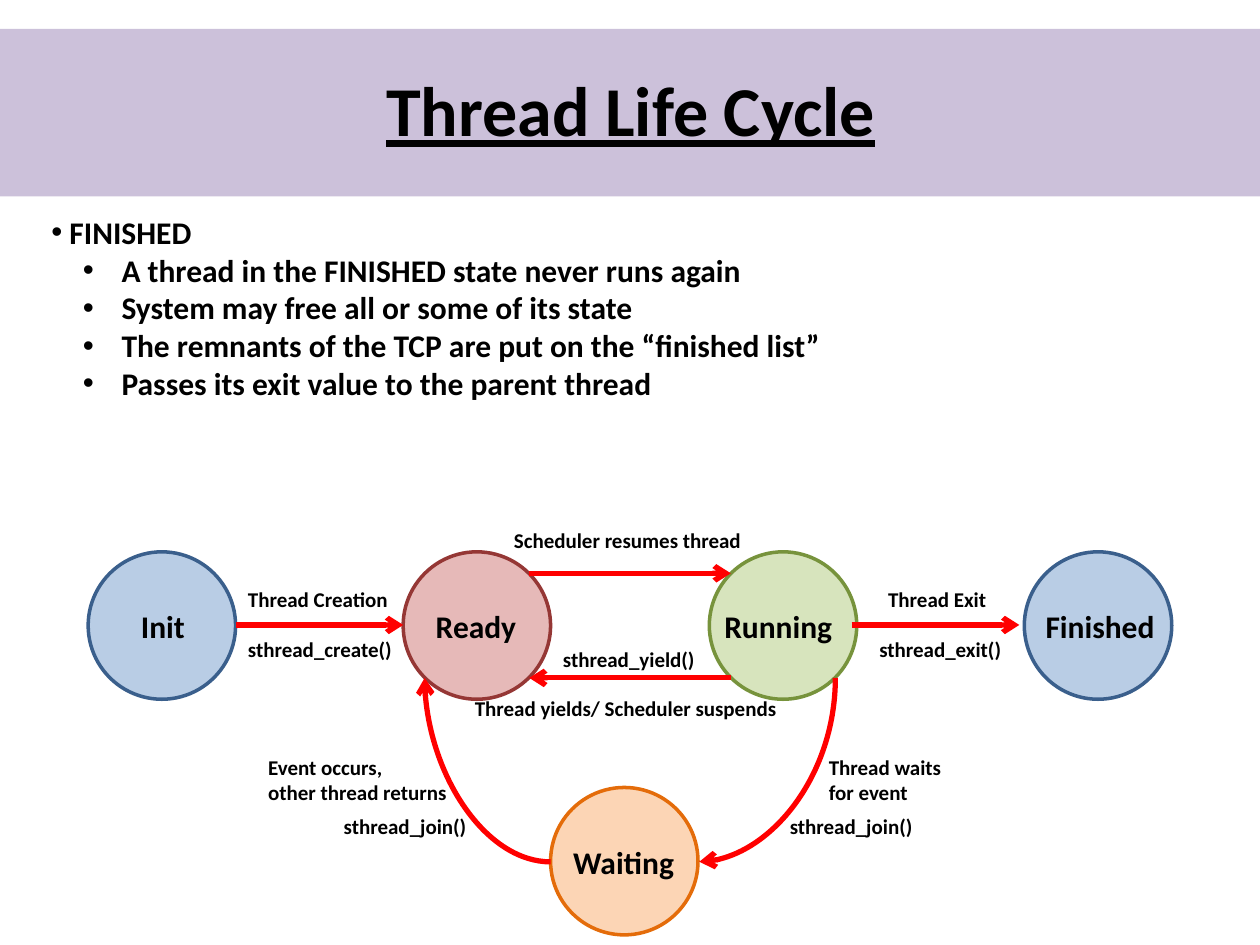
from lxml.etree import SubElement
from pptx import Presentation
from pptx.dml.color import RGBColor
from pptx.enum.shapes import MSO_CONNECTOR, MSO_SHAPE
from pptx.enum.text import MSO_ANCHOR, PP_ALIGN
from pptx.oxml.ns import qn
from pptx.util import Inches, Pt

FONT = "Calibri"
BLACK = RGBColor(0x00, 0x00, 0x00)
RED = RGBColor(0xFF, 0x00, 0x00)
LILAC = RGBColor(0xCC, 0xC1, 0xDA)
BLUE, BLUE_LINE = RGBColor(0xB9, 0xCD, 0xE5), RGBColor(0x3A, 0x5F, 0x8C)
ROSE, ROSE_LINE = RGBColor(0xE6, 0xB9, 0xB8), RGBColor(0x95, 0x37, 0x35)
GREEN, GREEN_LINE = RGBColor(0xD7, 0xE4, 0xBD), RGBColor(0x77, 0x93, 0x3C)
ORANGE, ORANGE_LINE = RGBColor(0xFC, 0xD5, 0xB5), RGBColor(0xE4, 0x6C, 0x0A)

TITLE = "Thread Life Cycle"
BULLETS = [  # level, text
    (0, " FINISHED"),
    (1, " A thread in the FINISHED state never runs again"),
    (1, " System may free all or some of its state"),
    (1, " The remnants of the TCP are put on the “finished list”"),
    (1, " Passes its exit value to the parent thread"),
]

DIAMETER = 1.17
ROW_TOP, WAIT_TOP = 4.38, 6.25
STATES = [  # name, circle left, circle top, fill, outline, label left, label width
    ("Init", 0.7, ROW_TOP, BLUE, BLUE_LINE, 1.02, 0.55),
    ("Ready", 3.2, ROW_TOP, ROSE, ROSE_LINE, 3.36, 0.85),
    ("Running", 5.63, ROW_TOP, GREEN, GREEN_LINE, 5.65, 1.06),
    ("Waiting", 4.37, WAIT_TOP, ORANGE, ORANGE_LINE, 4.45, 1.01),
    ("Finished", 8.13, ROW_TOP, BLUE, BLUE_LINE, 8.2, 1.07),
]

ROW_MIDDLE = 4.96
STRAIGHT_ARROWS = [  # from, to
    ((1.87, ROW_MIDDLE), (3.2, ROW_MIDDLE)),
    ((4.2, 4.55), (5.8, 4.55)),
    ((5.8, 5.38), (4.2, 5.38)),
    ((6.76, ROW_MIDDLE), (8.09, ROW_MIDDLE)),
]
CURVED_ARROWS = [  # from, to, clockwise turn in degrees
    ((6.63, 5.38), (5.55, 6.84), 90),
    ((4.37, 6.84), (3.37, 5.38), 180),
]

ABOVE, BELOW, EVENT, JOIN = 4.61, 5, 5.94, 6.41
TRANSITIONS = [  # lines, left, top, width
    (["Scheduler resumes thread"], 3.98, 4.14, 2.02),
    (["Thread Creation"], 1.87, ABOVE, 1.33),
    (["sthread_create()"], 1.87, BELOW, 1.37),
    (["sthread_yield()"], 4.37, 5.08, 1.27),
    (["Thread yields/ Scheduler suspends"], 3.67, 5.47, 2.66),
    (["Thread Exit"], 6.95, ABOVE, 0.99),
    (["sthread_exit()"], 6.88, BELOW, 1.18),
    (["Event occurs,", "other thread returns"], 2.03, EVENT, 1.63),
    (["sthread_join()"], 2.63, JOIN, 1.2),
    (["Thread waits", "for event"], 6.48, EVENT, 1.14),
    (["sthread_join()"], 6.17, JOIN, 1.2),
]

prs = Presentation()
prs.slide_width, prs.slide_height = Inches(10), Inches(7.5)
slide = prs.slides.add_slide(prs.slide_layouts[6])
shapes = slide.shapes


def add_filled(kind, left, top, width, height, fill, outline=None):
    sp = shapes.add_shape(kind, *map(Inches, (left, top, width, height)))
    sp.shadow.inherit = False
    sp.fill.solid()
    sp.fill.fore_color.rgb = fill
    if outline is None:
        sp.line.fill.background()
    else:
        sp.line.color.rgb = outline
        sp.line.width = Pt(2)


def add_text(lines, left, top, width, height, size, wrap=False):
    """Add a bold text box with one paragraph per line."""
    box = shapes.add_textbox(*map(Inches, (left, top, width, height)))
    tf = box.text_frame
    tf.word_wrap = wrap
    for i, line in enumerate(lines):
        p = tf.paragraphs[0] if i == 0 else tf.add_paragraph()
        r = p.add_run()
        r.text = line
        r.font.name, r.font.size, r.font.bold = FONT, Pt(size), True
        r.font.color.rgb = BLACK
    return tf


def add_bullet(p, level):
    p.level = level
    pPr = p._p.get_or_add_pPr()
    pPr.set("marL", str(Inches(0.5 * level)))
    pPr.set("indent", str(Inches(-0.25 * level)))
    SubElement(pPr, qn("a:buFont")).set("typeface", "Arial")
    SubElement(pPr, qn("a:buChar")).set("char", "•")


def add_arrow(kind, start, end):
    line = shapes.add_connector(kind, *map(Inches, start + end))
    line.line.color.rgb = RED
    line.line.width = Pt(3)
    SubElement(line.line._get_or_add_ln(), qn("a:tailEnd")).set("type", "arrow")
    SubElement(line._element.spPr, qn("a:effectLst"))
    return line


def add_quarter_curve(start, end, turn):
    """Bend once from start to end by turning a curvedConnector2 about its centre."""
    (x1, y1), (x2, y2) = start, end
    w, h = abs(x2 - x1), abs(y2 - y1)
    if turn % 180:
        w, h = h, w
    left, top = (x1 + x2 - w) / 2, (y1 + y2 - h) / 2
    curve = add_arrow(MSO_CONNECTOR.CURVE, (left, top), (left + w, top + h))
    spPr = curve._element.spPr
    spPr.find(qn("a:prstGeom")).set("prst", "curvedConnector2")
    spPr.find(qn("a:xfrm")).set("rot", str(turn * 60000))


add_filled(MSO_SHAPE.RECTANGLE, 0, 0.23, 10, 1.33, LILAC)
title = add_text([TITLE], 0.12, 0.39, 9.77, 0.94, 40, wrap=True)
title.vertical_anchor = MSO_ANCHOR.MIDDLE
title.paragraphs[0].alignment = PP_ALIGN.CENTER
title.paragraphs[0].runs[0].font.underline = True

body = add_text([text for _, text in BULLETS], 0.31, 1.64, 9.69, 2.52, 18, wrap=True)
for p, (level, _) in zip(body.paragraphs, BULLETS):
    add_bullet(p, level)

for _, left, top, fill, outline, _, _ in STATES:
    add_filled(MSO_SHAPE.OVAL, left, top, DIAMETER, DIAMETER, fill, outline)
for start, end in STRAIGHT_ARROWS:
    add_arrow(MSO_CONNECTOR.STRAIGHT, start, end)
for start, end, turn in CURVED_ARROWS:
    add_quarter_curve(start, end, turn)
for name, _, top, _, _, left, width in STATES:
    add_text([name], left, top + 0.39, width, 0.4, 18)
for lines, left, top, width in TRANSITIONS:
    add_text(lines, left, top, width, 0.1 + 0.2 * len(lines), 12)

prs.save("out.pptx")
